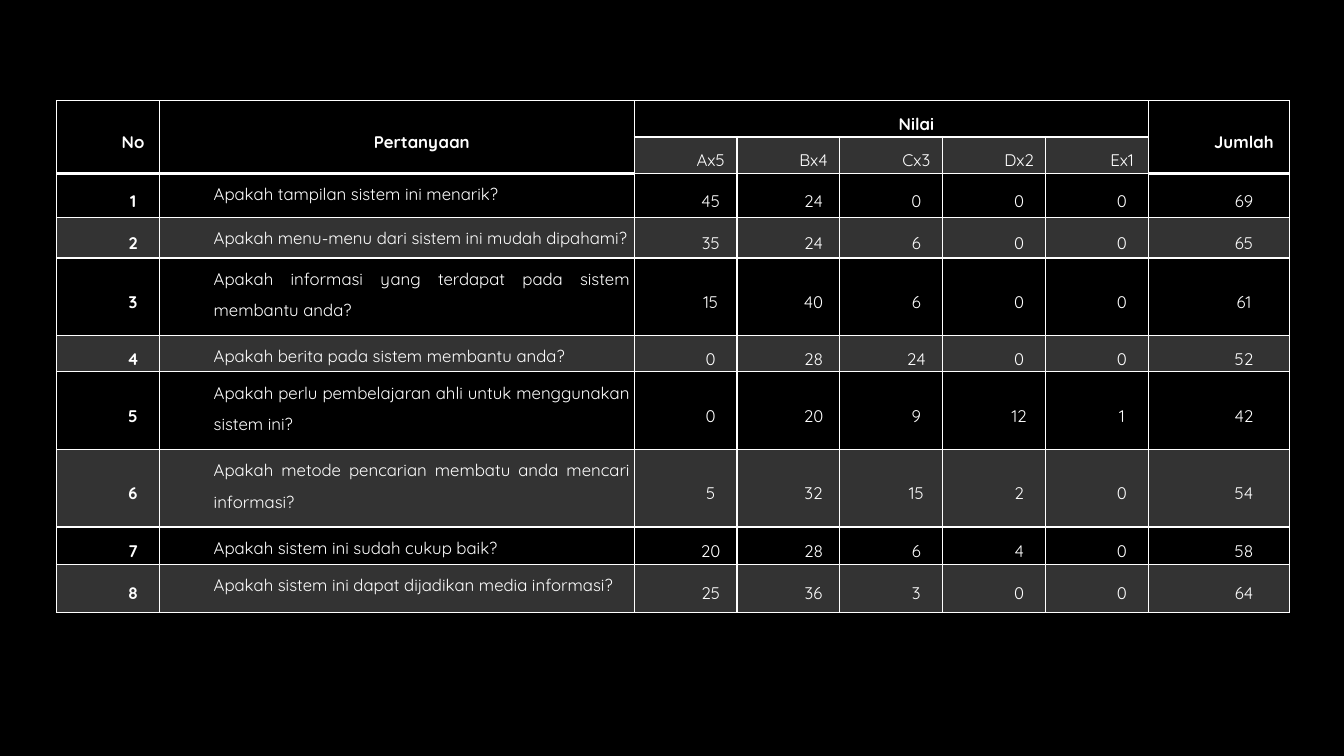
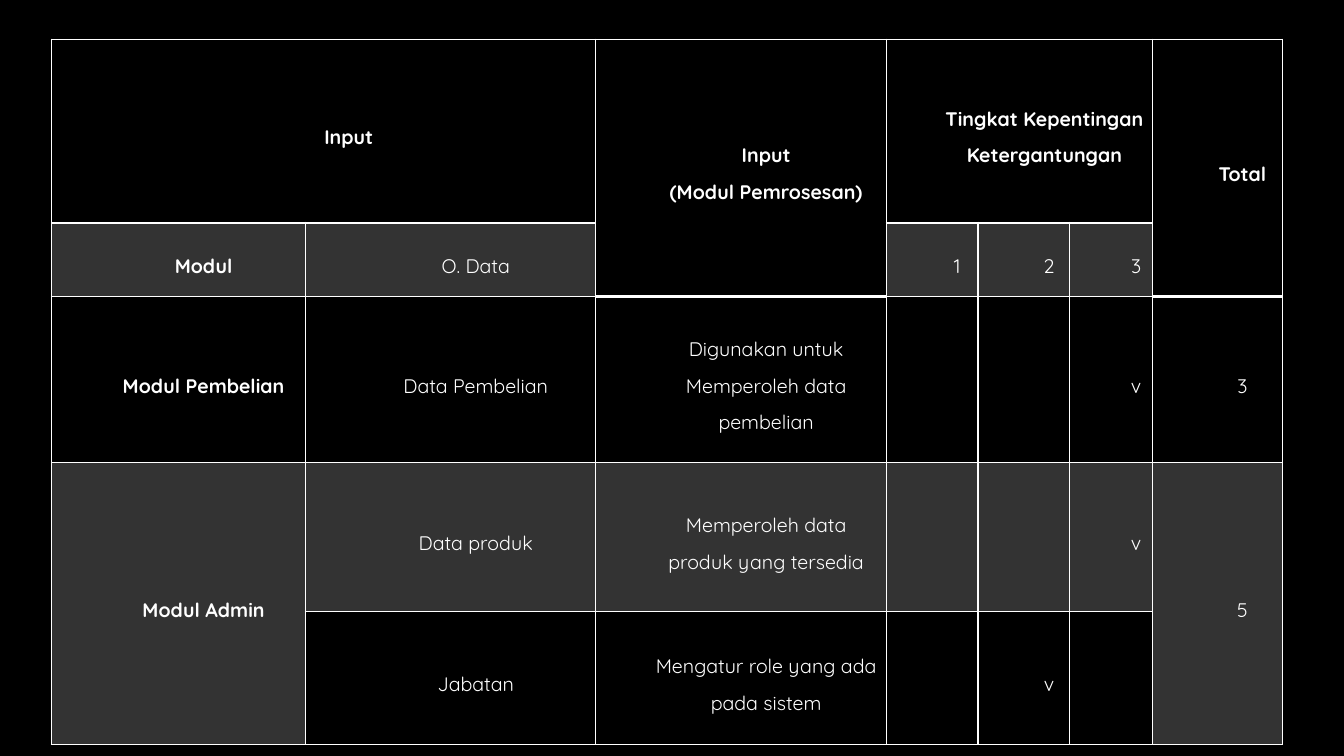
from dataclasses import dataclass
from itertools import product

from lxml import etree
from pptx import Presentation
from pptx import util as u
from pptx.dml.color import RGBColor
from pptx.enum import text
from pptx.oxml import ns


@dataclass(frozen=True)
class Theme:
    background: RGBColor = RGBColor(0, 0, 0)
    foreground: RGBColor = RGBColor(255, 255, 255)
    font: str = "Quicksand"
    survey_size: int = 12
    module_size: int = 14
    line_spacing: float = 1.5
    indent: float = 0.5
    band_opacity: int = 20
    line: int = 1
    header_line: int = 2


THEME = Theme()


def add_element(parent, tag, **attributes):
    return etree.SubElement(parent, ns.qn(tag), attributes)


def write_text(frame, content, size, bold=False, align=text.PP_ALIGN.CENTER):
    """Write one paragraph per line of content."""
    for index, line in enumerate(content.split("\n")):
        paragraph = frame.paragraphs[0] if index == 0 else frame.add_paragraph()
        paragraph.alignment = align
        paragraph.line_spacing = THEME.line_spacing
        properties = paragraph._p.get_or_add_pPr()
        properties.set("marL", str(u.Inches(THEME.indent)))
        properties.set("indent", "0")
        run = paragraph.add_run()
        run.text = line
        run.font.name = THEME.font
        run.font.size = u.Pt(size)
        run.font.bold = bold
        run.font.color.rgb = THEME.foreground


class Deck:
    def __init__(self):
        self.presentation = Presentation()
        self.presentation.slide_width = u.Inches(13.33)
        self.presentation.slide_height = u.Inches(7.5)
        self.slide = None

    def add_slide(self):
        blank = self.presentation.slide_layouts[6]
        self.slide = self.presentation.slides.add_slide(blank)
        fill = self.slide.background.fill
        fill.solid()
        fill.fore_color.rgb = THEME.background

    def draw_borders(self, cell, bottom):
        properties = cell._tc.get_or_add_tcPr()
        widths = {"L": THEME.line, "R": THEME.line, "T": THEME.line, "B": bottom}
        for side, width in widths.items():
            line = add_element(properties, f"a:ln{side}", w=str(u.Pt(width)))
            fill = add_element(line, "a:solidFill")
            add_element(fill, "a:srgbClr", val=str(THEME.foreground))

    def fill_band(self, cell, banded):
        if not banded:
            cell.fill.background()
            return
        cell.fill.solid()
        cell.fill.fore_color.rgb = THEME.foreground
        color = cell._tc.tcPr.find(".//" + ns.qn("a:solidFill") + "/"
                                   + ns.qn("a:srgbClr") + "[last()]")
        # The cell's own fill is the direct child, after the border lines
        color = cell._tc.tcPr.find(ns.qn("a:solidFill"))[0]
        add_element(color, "a:alpha", val=str(THEME.band_opacity * 1000))

    def add_table(self, left, top, widths, heights, rows, spans, size, margin,
                  justified_column=None):
        """Spans map the first cell (row, column) to (row count, column count)."""
        frame = self.slide.shapes.add_table(
            len(heights), len(widths), u.Inches(left), u.Inches(top),
            u.Inches(sum(widths)), u.Inches(sum(heights)))
        table = frame.table
        table.first_row = table.horz_banding = False
        for column, width in zip(table.columns, widths):
            column.width = u.Inches(width)
        for row, height in zip(table.rows, heights):
            row.height = u.Inches(height)
        for (row, column), (down, across) in spans.items():
            table.cell(row, column).merge(
                table.cell(row + down - 1, column + across - 1))

        for row, column in product(range(len(heights)), range(len(widths))):
            cell = table.cell(row, column)
            in_header = row == 0 or (row == 1 and cell.is_spanned)
            self.draw_borders(cell, THEME.header_line if in_header else THEME.line)
            self.fill_band(cell, row % 2 == 1 and not in_header)
            content = rows[row][column]
            if not content:
                continue
            cell.margin_left = cell.margin_right = u.Inches(margin)
            cell.margin_top = cell.margin_bottom = 0
            justified = column == justified_column and row > 0
            cell.vertical_anchor = (text.MSO_ANCHOR.TOP if justified
                                    else text.MSO_ANCHOR.MIDDLE)
            align = text.PP_ALIGN.JUSTIFY if justified else text.PP_ALIGN.CENTER
            write_text(cell.text_frame, content, size,
                       bold=row == 0 or column == 0, align=align)


def add_survey_slide(deck):
    """Questionnaire scores; each total is the sum of its row."""
    answers = [
        ("Apakah tampilan sistem ini menarik?", (45, 24, 0, 0, 0)),
        ("Apakah menu-menu dari sistem ini mudah dipahami?", (35, 24, 6, 0, 0)),
        ("Apakah informasi yang terdapat pada sistem membantu anda?",
         (15, 40, 6, 0, 0)),
        ("Apakah berita pada sistem membantu anda?", (0, 28, 24, 0, 0)),
        ("Apakah perlu pembelajaran ahli untuk menggunakan sistem ini?",
         (0, 20, 9, 12, 1)),
        ("Apakah metode pencarian membatu anda mencari informasi?",
         (5, 32, 15, 2, 0)),
        ("Apakah sistem ini sudah cukup baik?", (20, 28, 6, 4, 0)),
        ("Apakah sistem ini dapat dijadikan media informasi?",
         (25, 36, 3, 0, 0)),
    ]
    rows = [
        ["No", "Pertanyaan", "Nilai", "", "", "", "", "Jumlah"],
        ["", "", "Ax5", "Bx4", "Cx3", "Dx2", "Ex1", ""],
    ]
    for number, (question, scores) in enumerate(answers, 1):
        rows.append([str(number), question, *map(str, scores), str(sum(scores))])
    deck.add_slide()
    deck.add_table(
        0.56, 1, [1.02, 4.71] + [1.02] * 5 + [1.4],
        [0.36, 0.36, 0.44, 0.4, 0.77, 0.36, 0.77, 0.77, 0.37, 0.48], rows,
        {(0, 0): (2, 1), (0, 1): (2, 1), (0, 2): (1, 5), (0, 7): (2, 1)},
        THEME.survey_size, 0.04, justified_column=1)


def add_module_slide(deck):
    """Dependency level of each module."""
    rows = [
        ["Input", "", "Input\n(Modul Pemrosesan)",
         "Tingkat Kepentingan Ketergantungan", "", "", "Total"],
        ["Modul", "O. Data", "", "1", "2", "3", ""],
        ["Modul Pembelian", "Data Pembelian",
         "Digunakan untuk Memperoleh data pembelian", "", "", "v", "3"],
        ["Modul Admin", "Data produk", "Memperoleh data produk yang tersedia",
         "", "", "v", "5"],
        ["", "Jabatan", "Mengatur role yang ada pada sistem", "", "v", "", ""],
    ]
    deck.add_slide()
    deck.add_table(
        0.51, 0.39, [2.52, 2.88, 2.88, 0.91, 0.91, 0.82, 1.29],
        [1.82, 0.32, 1.65, 1.48, 1.32], rows,
        {(0, 0): (1, 2), (0, 2): (2, 1), (0, 3): (1, 3), (0, 6): (2, 1),
         (3, 0): (2, 1), (3, 6): (2, 1)},
        THEME.module_size, 0.05)


def main():
    deck = Deck()
    add_survey_slide(deck)
    add_module_slide(deck)
    deck.presentation.save("out.pptx")


if __name__ == "__main__":
    main()
